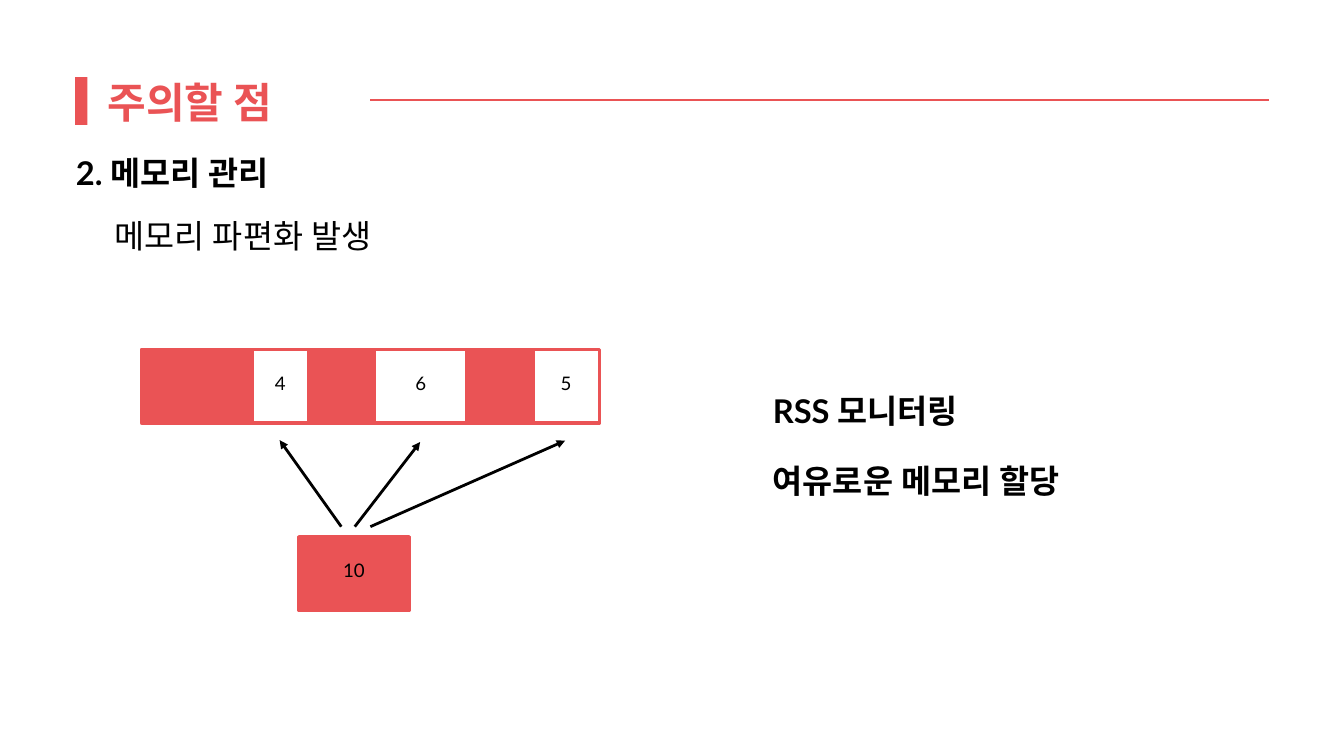
"""Build the slide on memory fragmentation and how to handle it."""
from lxml.etree import SubElement
from pptx import Presentation
from pptx.dml.color import RGBColor
from pptx.enum.shapes import MSO_CONNECTOR as Connector, MSO_SHAPE as Shape
from pptx.enum.text import MSO_ANCHOR as Anchor, MSO_AUTO_SIZE as AutoSize, PP_ALIGN as Align
from pptx.oxml.ns import qn
from pptx.util import Cm, Pt

RED, BLACK, WHITE = "EA5355", "000000", "FFFFFF"
FONT = "Lato"
color = RGBColor.from_string


def write(frame, text, size, hue=BLACK, bold=False, align=Align.LEFT, anchor=Anchor.TOP, margins=(0, 0, 0, 0)):
    """Set one styled line of text in a frame."""
    frame.word_wrap = True
    frame.auto_size = AutoSize.NONE
    frame.vertical_anchor = anchor
    frame.margin_left, frame.margin_top, frame.margin_right, frame.margin_bottom = [Cm(m) for m in margins]
    line = frame.paragraphs[0]
    line.alignment = align
    line.line_spacing = Pt(size * 1.3)
    run = line.add_run()
    run.text = text
    run.font.name = FONT
    run.font.size = Pt(size)
    run.font.bold = bold
    run.font.color.rgb = color(hue)
    SubElement(run.font._element, qn("a:ea"), typeface=FONT)


def connect(start, end, hue, width, arrow=False):
    """Draw a straight line, with an arrowhead at its end if wanted."""
    link = slide.shapes.add_connector(Connector.STRAIGHT, *[Cm(v) for v in start + end])
    link.line.color.rgb = color(hue)
    link.line.width = Pt(width)
    if arrow:
        SubElement(link.line._get_or_add_ln(), qn("a:tailEnd"), type="triangle")
    SubElement(link._element.spPr, qn("a:effectLst"))


prs = Presentation()
prs.slide_width, prs.slide_height = Cm(50.8), Cm(28.58)
slide = prs.slides.add_slide(prs.slide_layouts[5])

title = slide.shapes.title
title.left, title.top, title.width, title.height = Cm(4.06), Cm(2.74), Cm(13.39), Cm(2)
write(title.text_frame, "주의할 점", 45, RED, bold=True)

accent = slide.shapes.add_shape(Shape.RECTANGLE, Cm(2.84), Cm(2.92), Cm(0.46), Cm(1.8))
accent.shadow.inherit = False
accent.fill.solid()
accent.fill.fore_color.rgb = color(RED)
accent.line.fill.background()
connect((14, 3.78), (47.96, 3.78), RED, 1.5)

for text, left, top, width, bold in [
    ("2. 메모리 관리", 2.87, 5.64, 12.1, True),
    ("메모리 파편화 발생", 4.32, 8.05, 17.2, False),
    ("RSS 모니터링", 29.21, 14.66, 14.07, True),
    ("여유로운 메모리 할당", 29.21, 17.3, 14.86, True),
]:
    box = slide.shapes.add_textbox(Cm(left), Cm(top), Cm(width), Cm(1.55))
    write(box.text_frame, text, 35, bold=bold)

blocks = []
left = 5.36
for width, free_size in [(4.16, ""), (2.15, "4"), (2.49, ""), (3.49, "6"), (2.49, ""), (2.52, "5")]:
    blocks.append((left, 13.21, width, free_size, WHITE if free_size else RED))
    left += width
blocks.append((11.3, 20.29, 4.16, "10", RED))

for left, top, width, amount, hue in blocks:
    block = slide.shapes.add_shape(Shape.RECTANGLE, Cm(left), Cm(top), Cm(width), Cm(2.79))
    block.shadow.inherit = False
    block.fill.solid()
    block.fill.fore_color.rgb = color(hue)
    block.line.color.rgb = color(RED)
    block.line.width = Pt(3.75)
    if amount:
        write(block.text_frame, amount, 20, align=Align.CENTER, anchor=Anchor.MIDDLE,
              margins=(0.15, 0.15, 0.15, 0.5))

for start_x, end in [(12.9, (10.57, 16.64)), (14, (21.36, 16.66)), (13.41, (15.88, 16.71))]:
    connect((start_x, 19.91), end, BLACK, 3, arrow=True)

prs.save("out.pptx")
